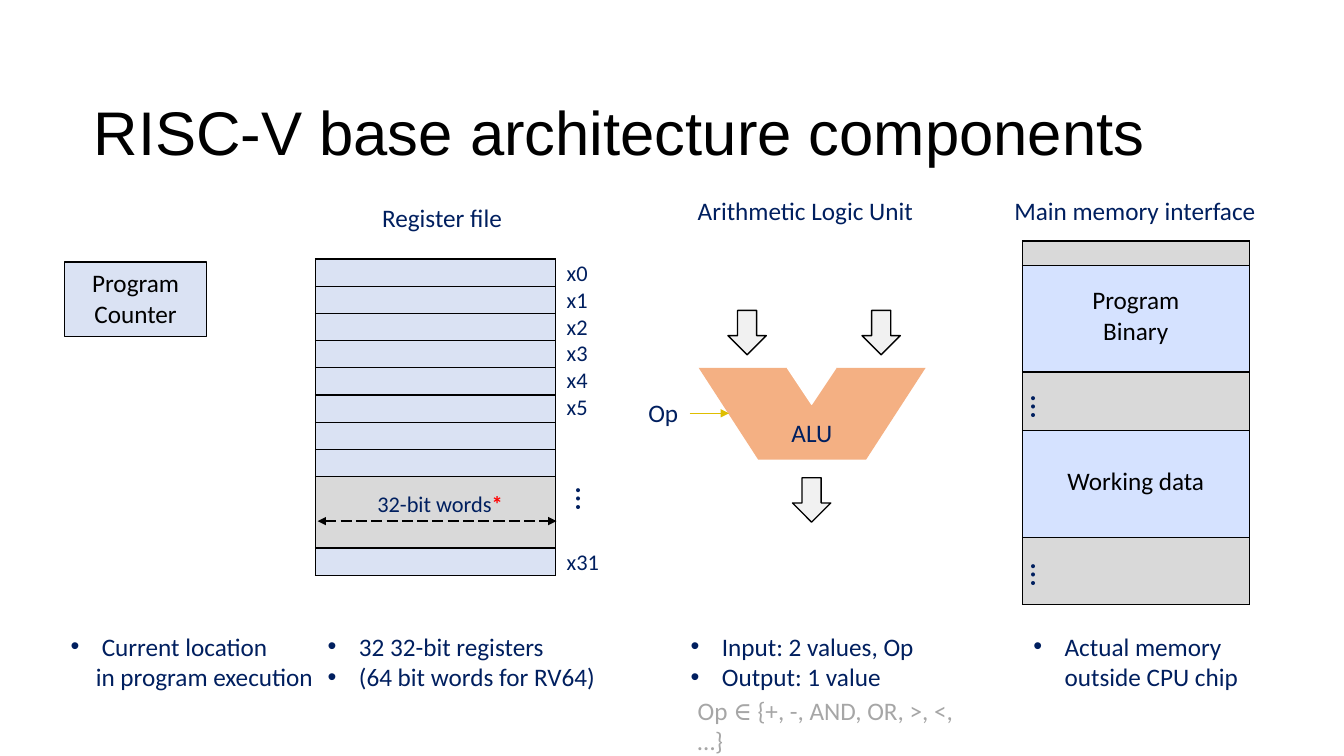
from lxml import etree
from pptx import Presentation
from pptx.dml.color import RGBColor
from pptx.enum.dml import MSO_LINE
from pptx.enum.shapes import MSO_CONNECTOR, MSO_SHAPE
from pptx.enum.text import MSO_ANCHOR, MSO_AUTO_SIZE, PP_ALIGN
from pptx.oxml.ns import qn
from pptx.util import Pt

PX = 9144  # 100 px to the inch
LEFT, CENTER = PP_ALIGN.LEFT, PP_ALIGN.CENTER
MIDDLE, BOTTOM = MSO_ANCHOR.MIDDLE, MSO_ANCHOR.BOTTOM
STRAIGHT = MSO_CONNECTOR.STRAIGHT
LONG_DASH = MSO_LINE.LONG_DASH

BLACK = RGBColor(0x00, 0x00, 0x00)
WHITE = RGBColor(0xFF, 0xFF, 0xFF)
NAVY = RGBColor(0x00, 0x1F, 0x5F)
RED = RGBColor(0xFF, 0x00, 0x00)
GRAY = RGBColor(0xA6, 0xA6, 0xA6)
PALE_BLUE = RGBColor(0xDA, 0xE2, 0xF3)
MEMORY_BLUE = RGBColor(0xD5, 0xE2, 0xFF)
UNUSED_GRAY = RGBColor(0xD9, 0xD9, 0xD9)
ARROW_GRAY = RGBColor(0xF1, 0xF1, 0xF1)
ORANGE = RGBColor(0xF4, 0xB0, 0x83)
GOLD = RGBColor(0xDF, 0xBE, 0x00)


def write(frame, text, size=18, color=NAVY, font="Calibri", bold=False,
          align=LEFT, indent=0, bullet=False, spacing=None):
    """Continue the last paragraph; each further line is a new paragraph."""
    for number, line in enumerate(text.split("\n")):
        paragraph = frame.add_paragraph() if number else frame.paragraphs[-1]
        paragraph.alignment = align
        if spacing:
            paragraph.line_spacing = Pt(spacing)
        if indent:
            properties = paragraph._p.get_or_add_pPr()
            properties.set("marL", str(indent * PX))
            if bullet:
                properties.set("indent", str(-indent * PX))
                etree.SubElement(properties, qn("a:buFont"), typeface="Arial")
                etree.SubElement(properties, qn("a:buChar"), char="•")
        run = paragraph.add_run()
        run.text = line
        run.font.size = Pt(size)
        run.font.name = font
        run.font.bold = bold
        run.font.color.rgb = color


def add_label(left, top, width, height, text, **text_format):
    box = slide.shapes.add_textbox(left * PX, top * PX, width * PX, height * PX)
    frame = box.text_frame
    frame.word_wrap = True
    frame.margin_left = frame.margin_right = frame.margin_bottom = 0
    frame.margin_top = PX
    write(frame, text, **text_format)
    return frame


presentation = Presentation()
presentation.slide_width = 1333 * PX
presentation.slide_height = 750 * PX
slide = presentation.slides.add_slide(presentation.slide_layouts[5])

# Title
title = slide.shapes.title
title.left, title.top, title.width, title.height = [
    length * PX for length in (93, 40, 1150, 145)]
heading = title.text_frame
heading.auto_size = MSO_AUTO_SIZE.NONE
heading.vertical_anchor = MIDDLE
heading.margin_left = heading.margin_right = heading.margin_bottom = 0
heading.margin_top = 35 * PX
write(heading, "RISC-V base architecture components", size=44, color=BLACK,
      font="Arial")

# Component headings
for left, top, width, text in (
        (379, 200, 150, "Register file"),
        (692, 193, 240, "Arithmetic Logic Unit"),
        (1006, 193, 260, "Main memory interface")):
    add_label(left, top, width, 33, text)

# Program counter
counter = slide.shapes.add_shape(
    MSO_SHAPE.RECTANGLE, 64 * PX, 260 * PX, 141 * PX, 74 * PX)
counter.shadow.inherit = False
counter.fill.solid()
counter.fill.fore_color.rgb = PALE_BLUE
counter.line.color.rgb = BLACK
counter.line.width = Pt(1)
counter.text_frame.vertical_anchor = MIDDLE
counter.text_frame.margin_top = 4 * PX
counter.text_frame.margin_bottom = 7 * PX
write(counter.text_frame, "Program\nCounter", color=BLACK, align=CENTER)

# Register file and main memory: rows of (height, fill, text)
register = (27, PALE_BLUE, "")
register_rows = [register] * 8 + [(71, UNUSED_GRAY, "32-bit words"), register]
memory_rows = [
    (24, UNUSED_GRAY, ""),
    (106, MEMORY_BLUE, "Program Binary"),
    (58, UNUSED_GRAY, "…"),
    (106, MEMORY_BLUE, "Working data"),
    (67, UNUSED_GRAY, "…"),
]
for left, top, width, rows, side_margin, size, color in (
        (313, 257, 238, register_rows, 0, 16, NAVY),
        (1014, 239, 225, memory_rows, 42, 18, BLACK)):
    total = sum(height for height, _, _ in rows)
    table = slide.shapes.add_table(
        len(rows), 1, left * PX, top * PX, width * PX, total * PX).table
    table.first_row = table.horz_banding = False
    for number, (height, fill, text) in enumerate(rows):
        table.rows[number].height = height * PX
        cell = table.cell(number, 0)
        cell.margin_left = cell.margin_right = 0
        cell.margin_top = cell.margin_bottom = 0
        cell.vertical_anchor = MIDDLE
        for side in ("a:lnL", "a:lnR", "a:lnT", "a:lnB"):
            border = etree.SubElement(
                cell._tc.get_or_add_tcPr(), qn(side), w=str(Pt(1)))
            paint = etree.SubElement(border, qn("a:solidFill"))
            etree.SubElement(paint, qn("a:srgbClr"), val=str(BLACK))
        cell.fill.solid()
        cell.fill.fore_color.rgb = fill
        if text == "…":
            cell._tc.tcPr.set("vert", "vert")
            cell.vertical_anchor = BOTTOM
            write(cell.text_frame, text, size=24, indent=height * 2 // 5)
        elif text:
            cell.margin_left = cell.margin_right = side_margin * PX
            cell.margin_bottom = 4 * PX
            write(cell.text_frame, text, size=size, color=color, align=CENTER)
        else:
            empty = cell.text_frame.paragraphs[0]._p
            etree.SubElement(empty, qn("a:endParaRPr"), sz="800")

    if rows is register_rows:
        word_cell = table.cell(8, 0)
        word_cell.margin_left = 9 * PX
        word_cell.margin_bottom = 15 * PX
        write(word_cell.text_frame, "*", size=16, color=RED, bold=True,
              align=CENTER)

# Register names
add_label(562, 256, 40, 164, "\n".join(f"x{n}" for n in range(6)), size=16)
add_label(562, 543, 45, 30, "x31", size=16)
ellipsis = add_label(562, 484, 36, 26, "…", size=24, spacing=23.8)
ellipsis.margin_top = 0
ellipsis._txBody.bodyPr.set("vert", "eaVert")

# ALU body and its notch
for corners, color in (
        ([(693, 365), (918, 365), (859, 456), (752, 456)], ORANGE),
        ([(781, 365), (829, 365), (805, 401)], WHITE)):
    builder = slide.shapes.build_freeform(*corners[0], scale=PX)
    builder.add_line_segments(corners[1:], close=True)
    outline = builder.convert_to_shape()
    outline.shadow.inherit = False
    outline.fill.solid()
    outline.fill.fore_color.rgb = color
    if color == WHITE:
        outline.line.color.rgb = WHITE
        outline.line.width = Pt(1)
    else:
        outline.line.fill.background()
add_label(785, 413, 50, 33, "ALU")
add_label(643, 393, 40, 33, "Op")

# ALU inputs and output
for left, top in ((722, 308), (855, 308), (786, 474)):
    flow = slide.shapes.add_shape(
        MSO_SHAPE.DOWN_ARROW, left * PX, top * PX, 38 * PX, 44 * PX)
    flow.shadow.inherit = False
    flow.fill.solid()
    flow.fill.fore_color.rgb = ARROW_GRAY
    flow.line.color.rgb = BLACK
    flow.line.width = Pt(1)

# Word width and Op arrows
for start, end, y, color, dash, heads in (
        (315, 552, 517, BLACK, LONG_DASH, ("a:headEnd", "a:tailEnd")),
        (684, 723, 410, GOLD, None, ("a:tailEnd",))):
    arrow = slide.shapes.add_connector(
        STRAIGHT, start * PX, y * PX, end * PX, y * PX)
    arrow.line.color.rgb = color
    arrow.line.width = Pt(1)
    arrow.line.dash_style = dash
    for head in heads:
        etree.SubElement(arrow.line._get_or_add_ln(), qn(head),
                         type="triangle", w="med", len="med")
    etree.SubElement(arrow._element.spPr, qn("a:effectLst"))

# Notes under each component
location = add_label(70, 625, 255, 63, "Current location", indent=31, bullet=True)
location.add_paragraph()
write(location, "in program execution", indent=25)
for left, width, text in (
        (325, 275, "32 32-bit registers\n(64 bit words for RV64)"),
        (685, 250, "Input: 2 values, Op\nOutput: 1 value"),
        (1025, 204, "Actual memory outside CPU chip")):
    add_label(left, 625, width, 63, text, indent=31, bullet=True)

operations = add_label(692, 689, 275, 61, "Op ", color=GRAY)
write(operations, "∈ ", color=GRAY, font="Cambria")
write(operations, "{+, -, AND, OR, >, <, …}", color=GRAY)

presentation.save("out.pptx")
